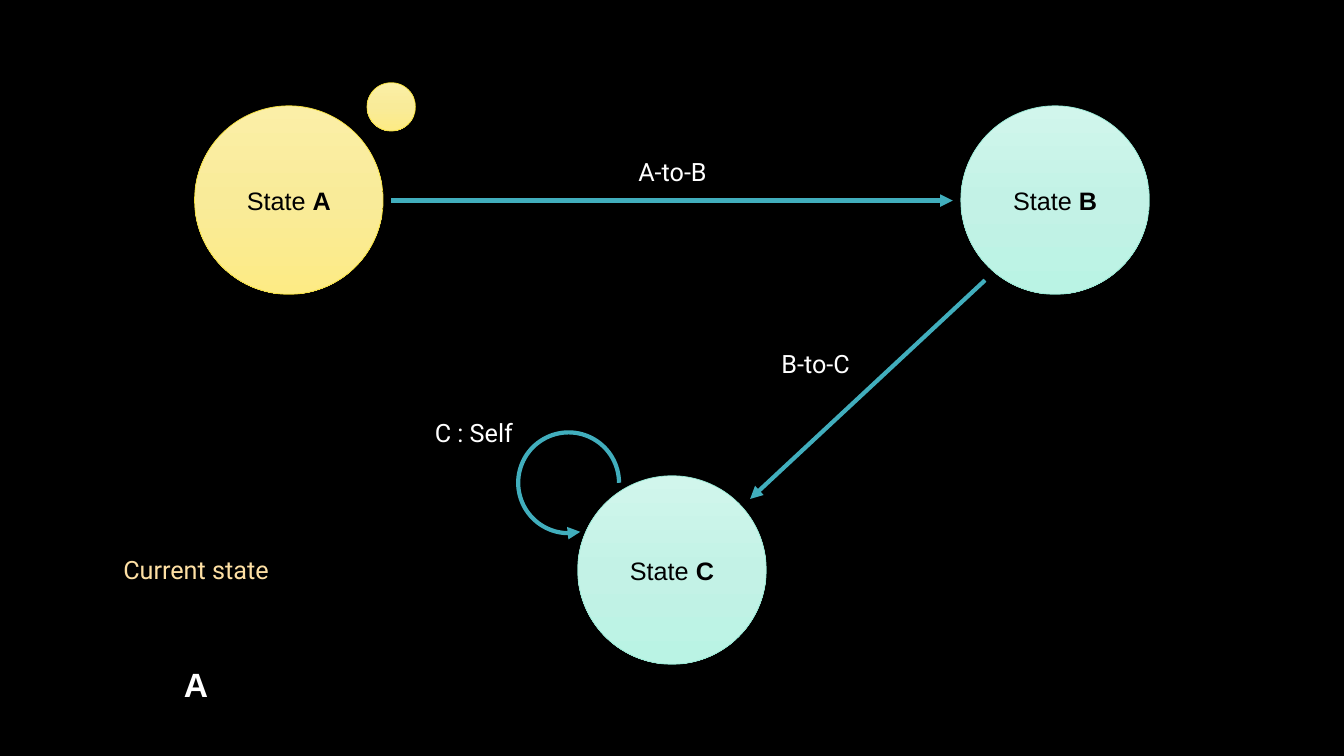
"""Build a slide showing a three-state machine with its transitions and current state."""
from copy import deepcopy
from dataclasses import dataclass

from lxml import etree
from pptx import Presentation
from pptx.dml.color import RGBColor
from pptx.enum import shapes, text
from pptx.oxml import ns
from pptx.util import Inches, Pt

BLACK = RGBColor(0x00, 0x00, 0x00)
WHITE = RGBColor(0xFF, 0xFF, 0xFF)
TEAL = RGBColor(0x41, 0xAE, 0xBD)
CREAM = RGBColor(0xFE, 0xE0, 0xA4)
DIAMETER = 1.87
LABEL_HEIGHT = 0.4


@dataclass(frozen=True)
class Palette:
    stops: tuple[RGBColor, RGBColor, RGBColor]
    outline: RGBColor


@dataclass(frozen=True)
class State:
    name: str
    left: float
    top: float
    palette: Palette


@dataclass(frozen=True)
class Transition:
    start: tuple[float, float]
    end: tuple[float, float]


@dataclass(frozen=True)
class Label:
    words: str
    left: float
    top: float
    width: float = 1.72
    color: RGBColor = WHITE


YELLOW = Palette(
    (RGBColor(0xFB, 0xEF, 0xA7), RGBColor(0xF9, 0xEB, 0x99), RGBColor(0xFD, 0xEB, 0x85)),
    RGBColor(0xF4, 0xDE, 0x3A),
)
MINT = Palette(
    (RGBColor(0xD1, 0xF6, 0xEC), RGBColor(0xC3, 0xF2, 0xE6), RGBColor(0xBA, 0xF3, 0xE4)),
    RGBColor(0x97, 0xE9, 0xD5),
)
STATES = (
    State("A", 1.93, 1.05, YELLOW),
    State("B", 9.53, 1.05, MINT),
    State("C", 5.73, 4.72, MINT),
)
TRANSITIONS = (
    Transition((3.88, 1.99), (9.45, 1.99)),
    Transition((9.77, 2.78), (7.44, 4.95)),
)
LABELS = (
    Label("A-to-B", 5.81, 1.5),
    Label("B-to-C", 7.23, 3.41),
    Label("C : Self", 3.84, 4.09),
    Label("Current state", 0.83, 5.45, 2.23, CREAM),
)


def write(box, words: str, *, bold_words: str = "", font: str = "Arial",
          size: float = 18, color: RGBColor = BLACK) -> None:
    para = box.text_frame.paragraphs[0]
    para.alignment = text.PP_ALIGN.CENTER
    for part, bold in ((words, False), (bold_words, True)):
        if part:
            span = para.add_run()
            span.text = part
            span.font.name = font
            span.font.size = Pt(size)
            span.font.bold = bold
            span.font.color.rgb = color


def add_shape(page, kind, left: float, top: float, width: float, height: float):
    shape = page.shapes.add_shape(kind, Inches(left), Inches(top), Inches(width), Inches(height))
    shape.shadow.inherit = False
    shape.text_frame.vertical_anchor = text.MSO_ANCHOR.MIDDLE
    return shape


def add_circle(page, left: float, top: float, diameter: float, palette: Palette):
    circle = add_shape(page, shapes.MSO_SHAPE.OVAL, left, top, diameter, diameter)
    circle.fill.gradient()
    circle.fill.gradient_angle = 270
    first = next(circle._element.iter(ns.qn("a:gs")))
    first.addnext(deepcopy(first))
    for index, (stop, color) in enumerate(zip(circle.fill.gradient_stops, palette.stops)):
        stop.position = index / 2
        stop.color.rgb = color
    circle.line.color.rgb = palette.outline
    circle.line.width = Pt(0.5)
    return circle


def style_arrow(arrow, end: str) -> None:
    arrow.line.color.rgb = TEAL
    arrow.line.width = Pt(3)
    etree.SubElement(arrow.line._get_or_add_ln(), ns.qn(f"a:{end}"), type="triangle")


def add_transition(page, transition: Transition) -> None:
    points = (Inches(value) for value in (*transition.start, *transition.end))
    arrow = page.shapes.add_connector(shapes.MSO_CONNECTOR.STRAIGHT, *points)
    style_arrow(arrow, "tailEnd")
    etree.SubElement(arrow._element.spPr, ns.qn("a:effectLst"))


def add_self_loop(page) -> None:
    loop = add_shape(page, shapes.MSO_SHAPE.ARC, 5.14, 4.29, 1, 1)
    loop.adjustments[0] = 45.97
    loop.adjustments[1] = 0
    loop.fill.background()
    style_arrow(loop, "headEnd")


def add_label(page, label: Label) -> None:
    box = page.shapes.add_textbox(
        Inches(label.left), Inches(label.top), Inches(label.width), Inches(LABEL_HEIGHT))
    box.text_frame.word_wrap = True
    box.text_frame.auto_size = text.MSO_AUTO_SIZE.SHAPE_TO_FIT_TEXT
    write(box, label.words, font="Roboto", color=label.color)


def add_current_state(page) -> None:
    panel = add_shape(page, shapes.MSO_SHAPE.ROUND_2_SAME_RECTANGLE, 0.01, 5.99, 3.87, 1.51)
    panel.fill.solid()
    panel.fill.fore_color.rgb = BLACK
    panel.line.fill.background()
    write(panel, "", bold_words="A", size=24, color=WHITE)


def main() -> None:
    deck = Presentation()
    deck.slide_width = Inches(13.33)
    deck.slide_height = Inches(7.5)
    page = deck.slides.add_slide(deck.slide_layouts.get_by_name("Blank"))
    page.background.fill.solid()
    page.background.fill.fore_color.rgb = BLACK

    for state in STATES:
        circle = add_circle(page, state.left, state.top, DIAMETER, state.palette)
        write(circle, "State ", bold_words=state.name)
    for transition in TRANSITIONS:
        add_transition(page, transition)
    add_self_loop(page)
    add_current_state(page)
    for label in LABELS:
        add_label(page, label)
    add_circle(page, 3.64, 0.82, 0.48, YELLOW)
    deck.save("out.pptx")


if __name__ == "__main__":
    main()
